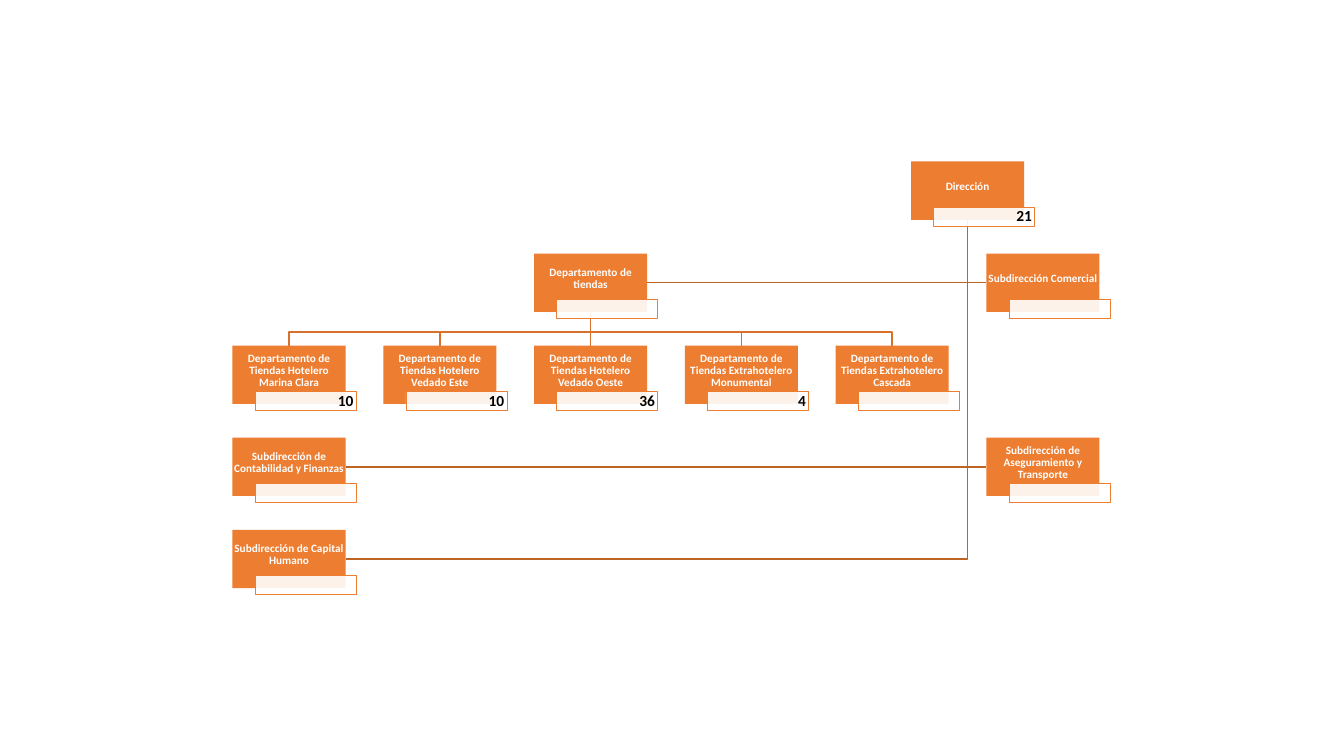
from dataclasses import dataclass

from lxml import etree
from pptx import Presentation
from pptx.dml.color import RGBColor
from pptx.enum.shapes import MSO_CONNECTOR, MSO_SHAPE
from pptx.enum.text import MSO_ANCHOR, PP_ALIGN
from pptx.oxml.ns import qn
from pptx.util import Cm, Pt

RECTANGLE = MSO_SHAPE.RECTANGLE
STRAIGHT = MSO_CONNECTOR.STRAIGHT
MIDDLE = MSO_ANCHOR.MIDDLE
CENTER, RIGHT = PP_ALIGN.CENTER, PP_ALIGN.RIGHT


@dataclass(frozen=True)
class Theme:
    font: str = "Calibri"
    accent: RGBColor = RGBColor(0xED, 0x7D, 0x31)
    assistant_line: RGBColor = RGBColor(0xBE, 0x64, 0x27)
    store_line: RGBColor = RGBColor(0xD7, 0x71, 0x2C)
    white: RGBColor = RGBColor(0xFF, 0xFF, 0xFF)
    black: RGBColor = RGBColor(0, 0, 0)
    title_size: Pt = Pt(8)
    count_size: Pt = Pt(11)
    link_width: Pt = Pt(1)
    count_border: Pt = Pt(0.5)


THEME = Theme()

CHART_LEFT, CHART_TOP = Cm(5.86), Cm(4.07)
COLUMN_STEP, ROW_STEP = Cm(3.8), Cm(2.32)
BOX_WIDTH, BOX_HEIGHT = Cm(2.85), Cm(1.47)
COUNT_WIDTH, COUNT_HEIGHT = Cm(2.55), Cm(0.49)
COUNT_DX, COUNT_DY = Cm(0.57), Cm(1.15)
BUS_RISE = Cm(0.34)


@dataclass(frozen=True)
class Unit:
    """One box of the organisation chart, placed on a column and row grid."""
    title: str
    column: float
    row: int
    count: str = ""

    @property
    def left(self):
        return CHART_LEFT + round(self.column * COLUMN_STEP)

    @property
    def top(self):
        return CHART_TOP + self.row * ROW_STEP

    @property
    def center(self):
        return self.left + BOX_WIDTH // 2

    @property
    def middle(self):
        return self.top + BOX_HEIGHT // 2

    @property
    def bottom(self):
        return self.top + BOX_HEIGHT


DIRECTION = Unit("Dirección", 4.5, 0, "21")
STORES = Unit("Departamento de tiendas", 2, 1)
STORE_UNITS = [
    Unit(f"Departamento de Tiendas {name}", column, 2, count)
    for column, (name, count) in enumerate([
        ("Hotelero Marina Clara", "10"),
        ("Hotelero Vedado Este", "10"),
        ("Hotelero Vedado Oeste", "36"),
        ("Extrahotelero Monumental", "4"),
        ("Extrahotelero Cascada", ""),
    ])
]
ASSISTANTS = [
    STORES,
    Unit("Subdirección Comercial", 5, 1),
    Unit("Subdirección de Contabilidad y Finanzas", 0, 3),
    Unit("Subdirección de Aseguramiento y Transporte", 5, 3),
    Unit("Subdirección de Capital Humano", 0, 4),
]


def add_link(slide, points, color):
    """Draw an open line through the points."""
    start, *rest = points
    if all(x == start[0] for x, _ in rest):
        shape = slide.shapes.add_connector(STRAIGHT, *start, *rest[-1])
        etree.SubElement(shape._element.spPr, qn("a:effectLst"))
    else:
        builder = slide.shapes.build_freeform(*start)
        builder.add_line_segments(rest, close=False)
        shape = builder.convert_to_shape()
        shape.fill.background()
        shape.shadow.inherit = False
    shape.line.color.rgb = color
    shape.line.width = THEME.link_width


def link_assistant(slide, parent, child):
    side = child.left + (BOX_WIDTH if child.column < parent.column else 0)
    points = [(parent.center, parent.bottom), (parent.center, child.middle),
              (side, child.middle)]
    add_link(slide, points, THEME.assistant_line)


def link_store(slide, parent, child):
    bus = child.top - BUS_RISE
    points = [(parent.center, parent.bottom), (parent.center, bus),
              (child.center, bus), (child.center, child.top)]
    add_link(slide, points, THEME.store_line)


def add_rectangle(slide, left, top, width, height, fill):
    shape = slide.shapes.add_shape(RECTANGLE, left, top, width, height)
    shape.shadow.inherit = False
    shape.fill.solid()
    shape.fill.fore_color.rgb = fill
    shape.line.fill.background()
    return shape


def set_text(shape, text, *, size, color, align, side, bottom):
    frame = shape.text_frame
    frame.word_wrap = True
    frame.vertical_anchor = MIDDLE
    frame.margin_left = frame.margin_right = side
    frame.margin_top, frame.margin_bottom = Cm(0.01), bottom
    paragraph = frame.paragraphs[0]
    paragraph.alignment = align
    paragraph.line_spacing = 0.9
    run = paragraph.add_run()
    run.text = text
    run.font.name = THEME.font
    run.font.size = size
    run.font.bold = True
    run.font.color.rgb = color


def set_opacity(shape, percent):
    color = shape._element.spPr.find(qn("a:solidFill"))[0]
    etree.SubElement(color, qn("a:alpha"), val=str(percent * 1000))


def add_unit(slide, unit):
    box = add_rectangle(slide, unit.left, unit.top, BOX_WIDTH, BOX_HEIGHT,
                        THEME.accent)
    set_text(box, unit.title, size=THEME.title_size, color=THEME.white,
             align=CENTER, side=Cm(0.01), bottom=Cm(0.21))
    count = add_rectangle(slide, unit.left + COUNT_DX, unit.top + COUNT_DY,
                          COUNT_WIDTH, COUNT_HEIGHT, THEME.white)
    set_opacity(count, 90)
    count.line.color.rgb = THEME.accent
    count.line.width = THEME.count_border
    if unit.count:
        set_text(count, unit.count, size=THEME.count_size, color=THEME.black,
                 align=RIGHT, side=Cm(0.07), bottom=Cm(0.01))


def main():
    presentation = Presentation()
    presentation.slide_width = Cm(33.87)
    presentation.slide_height = Cm(19.05)
    slide = presentation.slides.add_slide(presentation.slide_layouts[6])
    for assistant in ASSISTANTS:
        link_assistant(slide, DIRECTION, assistant)
    for store in STORE_UNITS:
        link_store(slide, STORES, store)
    for unit in [DIRECTION, *ASSISTANTS, *STORE_UNITS]:
        add_unit(slide, unit)
    presentation.save("out.pptx")


if __name__ == "__main__":
    main()
